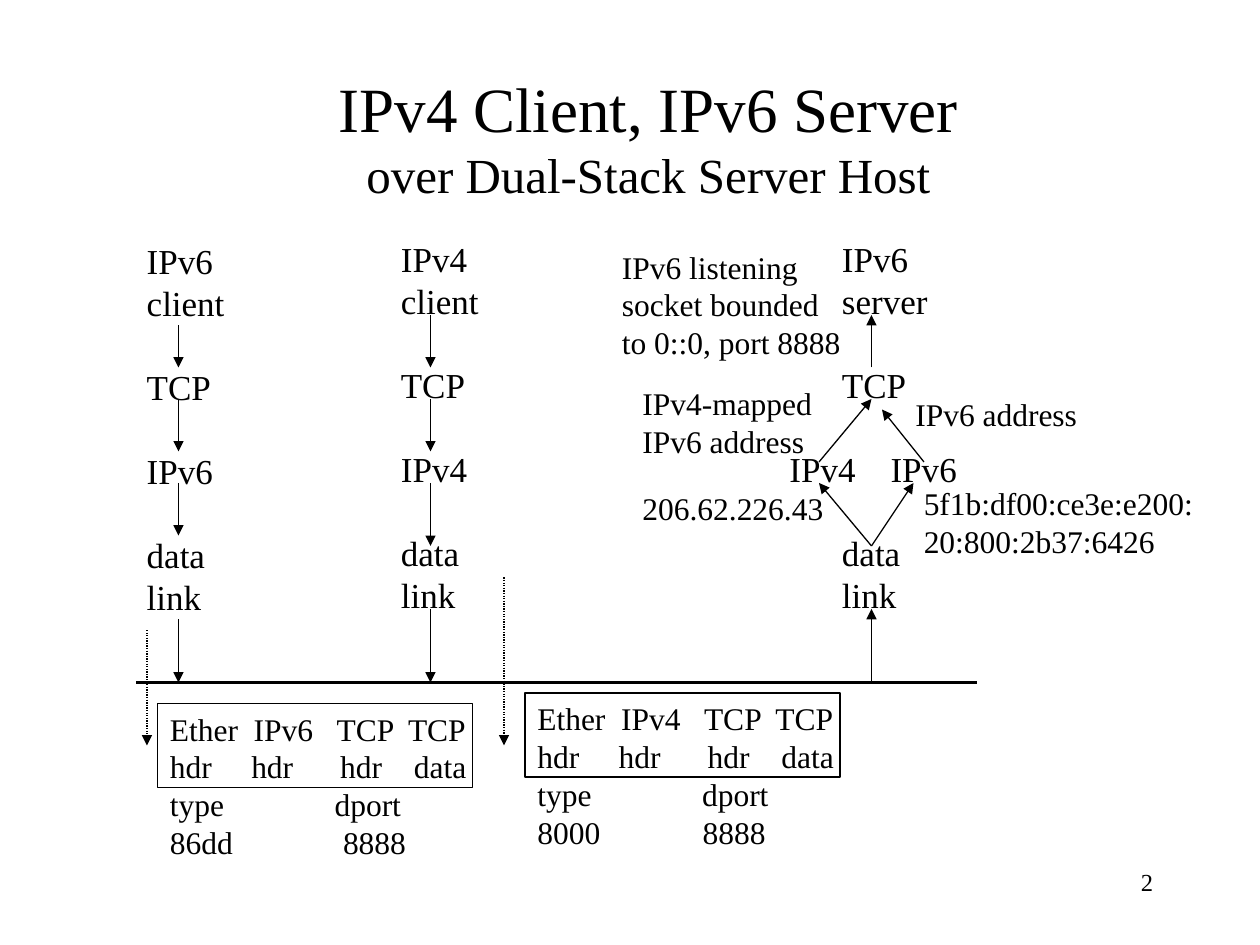
from dataclasses import dataclass

from lxml.etree import SubElement
from pptx import Presentation
from pptx.dml.color import RGBColor
from pptx.enum.dml import MSO_LINE
from pptx.enum.shapes import MSO_CONNECTOR, MSO_SHAPE
from pptx.enum.text import PP_ALIGN
from pptx.oxml.ns import qn
from pptx.util import Cm, Pt


@dataclass(frozen=True)
class Theme:
    font: str = "Times New Roman"
    ink: RGBColor = RGBColor(0, 0, 0)
    title: int = 36
    subtitle: int = 28
    stack: int = 20
    note: int = 18
    page: int = 14
    leading: float = 1.2
    thin: float = 0.75
    thick: float = 2.25


@dataclass(frozen=True)
class Line:
    """One line of text; gap counts blank lines above, indent and tabs are in cm."""
    text: str
    size: int
    gap: int = 0
    indent: float = 0
    tabs: tuple[float, ...] = ()


@dataclass(frozen=True)
class Box:
    """Left, top, width and height in grid units."""
    x: float
    y: float
    w: float
    h: float


@dataclass(frozen=True)
class Stack:
    box: Box
    version: str
    role: str
    indent: float = 0
    tabs: tuple[float, ...] = ()


@dataclass(frozen=True)
class Packet:
    x: float
    y: float
    version: str
    ether_type: str
    port_tab: float


T = Theme()
GRID = 2.54 / 12  # twelve units to the inch
WIRE_Y = 65
SERVER_INDENT = 1.06

STACKS = (
    Stack(Box(12.8, 22.2, 9.8, 37.2), "IPv6", "client"),
    Stack(Box(37, 22, 9.8, 37.2), "IPv4", "client"),
    Stack(Box(74, 22, 18.4, 37.2), "IPv6", "server", SERVER_INDENT, (2.04,)),
)
NOTES = (
    (Box(58.05, 23, 23.2, 12), ("IPv6 listening", "socket bounded", "to 0::0, port 8888")),
    (Box(60, 36, 18.5, 8.4), ("IPv4-mapped", "IPv6 address")),
    (Box(86, 37, 17.8, 4.8), ("IPv6 address",)),
    (Box(60, 46, 19.7, 4.8), ("206.62.226.43",)),
    (Box(86.8, 45.5, 28.1, 8.4), ("5f1b:df00:ce3e:e200:", "20:800:2b37:6426")),
)
PACKETS = (
    Packet(50, 66, "IPv4", "8000", 3.33),
    Packet(15, 67, "IPv6", "86dd", 3.49),
)
# Vertical client arrows: x, then (from, to) pairs
CLIENT_ARROWS = (
    (17, ((31, 35), (38, 43), (46, 51), (59, WIRE_Y))),
    (41, ((30, 35), (38, 43), (46, 52), (58, WIRE_Y))),
)
SERVER_ARROWS = (
    ((83, WIRE_Y), (83, 58)),
    ((83, 52), (78, 46)),
    ((83, 52), (87, 46)),
    ((78, 44), (83, 38)),
    ((88, 44), (84, 39)),
    ((83, 35), (83, 30)),
)
PACKET_ARROWS = (((14, 60), (14, 71)), ((48, 55), (48, 71)))


def grid(n: float) -> Cm:
    return Cm(n * GRID)


def add_text(s, box: Box, lines: list[Line], *, align=PP_ALIGN.LEFT) -> None:
    sp = s.shapes.add_textbox(grid(box.x), grid(box.y), grid(box.w), grid(box.h))
    tf = sp.text_frame
    tf.word_wrap = True
    if align == PP_ALIGN.LEFT:
        tf.margin_right = 0
    for i, line in enumerate(lines):
        p = tf.add_paragraph() if i else tf.paragraphs[0]
        p.alignment = align
        pitch = line.size * T.leading
        p.line_spacing = Pt(pitch)
        if line.gap:
            p.space_before = Pt(pitch * line.gap)
        pPr = p._p.get_or_add_pPr()
        if line.indent:
            pPr.set("marL", str(Cm(line.indent)))
        if line.tabs:
            tab_list = SubElement(pPr, qn("a:tabLst"))
            for pos in line.tabs:
                SubElement(tab_list, qn("a:tab"), pos=str(Cm(pos)), algn="l")
        r = p.add_run()
        r.text = line.text
        r.font.name = T.font
        r.font.size = Pt(line.size)
        r.font.color.rgb = T.ink


def add_line(s, start: tuple, end: tuple, *, width: float = T.thin,
             arrow: bool = True, dotted: bool = False) -> None:
    c = s.shapes.add_connector(MSO_CONNECTOR.STRAIGHT, *(grid(n) for n in (*start, *end)))
    c.line.color.rgb = T.ink
    c.line.width = Pt(width)
    if dotted:
        c.line.dash_style = MSO_LINE.ROUND_DOT
    if arrow:
        SubElement(c.line._get_or_add_ln(), qn("a:tailEnd"), type="triangle")
    SubElement(c._element.spPr, qn("a:effectLst"))


def add_stack(s, stack: Stack) -> None:
    network = "IPv4\tIPv6" if stack.tabs else stack.version
    add_text(s, stack.box, [
        Line(stack.version, T.stack, indent=stack.indent),
        Line(stack.role, T.stack, indent=stack.indent),
        Line("TCP", T.stack, 1, stack.indent),
        Line(network, T.stack, 1, tabs=stack.tabs),
        Line("data", T.stack, 1, stack.indent),
        Line("link", T.stack, indent=stack.indent),
    ])


def add_packet(s, packet: Packet) -> None:
    add_text(s, Box(packet.x, packet.y, 30.8, 15.6), [
        Line(f"Ether\t{packet.version}\tTCP\tTCP", T.note, tabs=(1.69, 3.36, 4.8)),
        Line("hdr\thdr\thdr\tdata", T.note, tabs=(1.64, 3.43, 4.92)),
        Line("type\tdport", T.note, tabs=(3.32,)),
        Line(f"{packet.ether_type}\t8888", T.note, tabs=(packet.port_tab,)),
    ])
    sp = s.shapes.add_shape(MSO_SHAPE.RECTANGLE, grid(packet.x), grid(packet.y),
                            grid(30), grid(8))
    sp.shadow.inherit = False
    sp.fill.background()
    sp.line.color.rgb = T.ink
    sp.line.width = Pt(T.thin)


def main() -> None:
    prs = Presentation()
    prs.slide_width, prs.slide_height = Cm(25.4), Cm(19.05)
    s = prs.slides.add_slide(prs.slide_layouts[6])

    add_text(s, Box(30.75, 6, 62, 14), [
        Line("IPv4 Client, IPv6 Server", T.title),
        Line("over Dual-Stack Server Host", T.subtitle),
    ], align=PP_ALIGN.CENTER)
    for stack in STACKS:
        add_stack(s, stack)
    add_line(s, (13, WIRE_Y), (93, WIRE_Y), width=T.thick, arrow=False)
    for x, spans in CLIENT_ARROWS:
        for top, bottom in spans:
            add_line(s, (x, top), (x, bottom))
    for start, end in SERVER_ARROWS:
        add_line(s, start, end)
    for box, texts in NOTES:
        add_text(s, box, [Line(text, T.note) for text in texts])
    for packet in PACKETS:
        add_packet(s, packet)
    for start, end in PACKET_ARROWS:
        add_line(s, start, end, dotted=True)
    add_text(s, Box(86, 82, 25, 6), [Line("2", T.page)], align=PP_ALIGN.RIGHT)

    prs.save("out.pptx")


if __name__ == "__main__":
    main()
